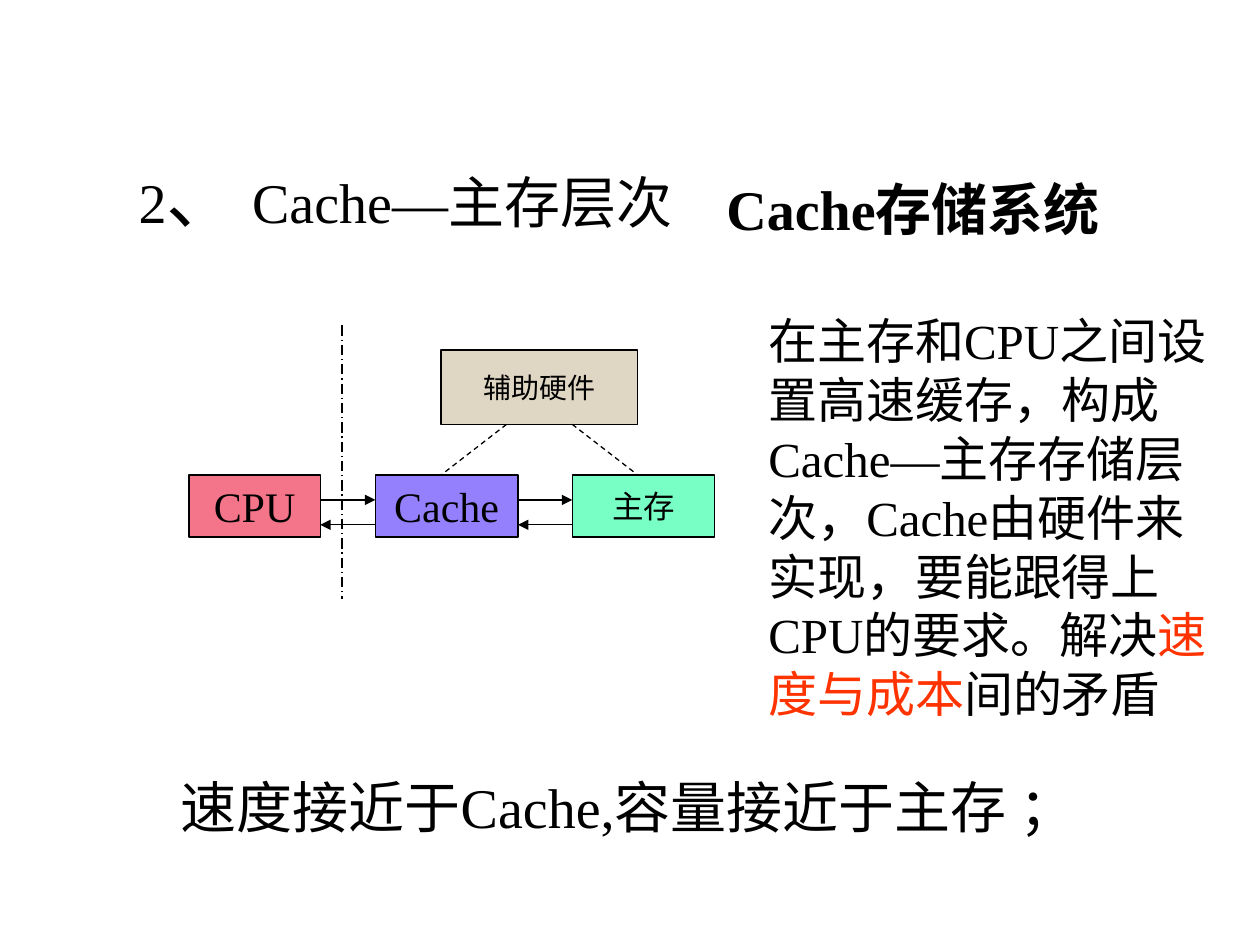
import pptx
import pptx.dml.color
import pptx.enum.dml
import pptx.enum.shapes
import pptx.enum.text
import pptx.oxml
import pptx.oxml.ns
import pptx.util

Pt = pptx.util.Pt
RGBColor = pptx.dml.color.RGBColor
Align = pptx.enum.text.PP_ALIGN
Anchor = pptx.enum.text.MSO_ANCHOR
AutoSize = pptx.enum.text.MSO_AUTO_SIZE
Dash = pptx.enum.dml.MSO_LINE

BLACK = RGBColor(0x00, 0x00, 0x00)
ORANGE_RED = RGBColor(0xFF, 0x33, 0x00)
VIOLET = RGBColor(0x94, 0x7F, 0xFD)
ROSE = RGBColor(0xF4, 0x74, 0x89)
MINT = RGBColor(0x77, 0xFF, 0xC5)
SAND = RGBColor(0xDF, 0xD6, 0xC3)


class SlideBuilder:
    font_name = "Times New Roman"
    line_width = Pt(0.75)

    def __init__(self, page):
        self.page = page

    def style(self, font, size, color=BLACK, bold=False):
        font.name = self.font_name
        font.size = Pt(size)
        font.bold = bold
        font.color.rgb = color

    def title(self, left, top, width, height, pieces):
        """Fill the title from (text, size) pairs."""
        box = self.page.shapes.title
        box.left, box.top, box.width, box.height = map(Pt, (left, top, width, height))
        frame = box.text_frame
        frame.auto_size = AutoSize.NONE
        frame.vertical_anchor = Anchor.TOP
        para = frame.paragraphs[0]
        para.alignment = Align.JUSTIFY
        for text, size in pieces:
            span = para.add_run()
            span.text = text
            self.style(span.font, size)

    def text(self, left, top, width, height, pieces, size, bold=False):
        """Add a text box from (text, colour) pairs."""
        box = self.page.shapes.add_textbox(*map(Pt, (left, top, width, height)))
        frame = box.text_frame
        frame.word_wrap = True
        frame.auto_size = AutoSize.SHAPE_TO_FIT_TEXT
        para = frame.paragraphs[0]
        self.style(para.font, size, bold=bold)
        for text, color in pieces:
            span = para.add_run()
            span.text = text
            if color != BLACK:
                span.font.color.rgb = color

    def block(self, left, top, width, height, label, size, fill):
        box = self.page.shapes.add_shape(
            pptx.enum.shapes.MSO_SHAPE.RECTANGLE, *map(Pt, (left, top, width, height)))
        box.shadow.inherit = False
        box.fill.solid()
        box.fill.fore_color.rgb = fill
        box.line.color.rgb = BLACK
        box.line.width = self.line_width
        frame = box.text_frame
        frame.word_wrap = False
        frame.vertical_anchor = Anchor.MIDDLE
        para = frame.paragraphs[0]
        para.alignment = Align.CENTER
        self.style(para.font, size)
        para.add_run().text = label

    def line(self, start_x, start_y, end_x, end_y, dash=None, arrow=False):
        connector = self.page.shapes.add_connector(
            pptx.enum.shapes.MSO_CONNECTOR.STRAIGHT,
            *map(Pt, (start_x, start_y, end_x, end_y)))
        connector.line.color.rgb = BLACK
        connector.line.width = self.line_width
        if dash is not None:
            connector.line.dash_style = dash
        properties = connector._element.spPr
        if arrow:
            tail = pptx.oxml.parse_xml(
                f'<a:tailEnd {pptx.oxml.ns.nsdecls("a")} type="triangle"/>')
            connector.line._get_or_add_ln().append(tail)
        properties.append(pptx.oxml.parse_xml(
            f'<a:effectLst {pptx.oxml.ns.nsdecls("a")}/>'))


def main():
    deck = pptx.Presentation()
    deck.slide_width, deck.slide_height = Pt(720), Pt(540)
    builder = SlideBuilder(deck.slides.add_slide(deck.slide_layouts[5]))

    builder.title(72, 84, 612, 78,
                  [("2", 32), ("、 ", 40), ("Cache—主存层次", 32)])
    builder.text(408, 96, 252, 45, [("Cache存储系统", BLACK)], 32, bold=True)
    builder.text(96, 438, 526, 45,
                 [("速度接近于Cache,容量接近于主存 ；", BLACK)], 32)

    row_top, row_height = 271.5, 35.5
    row = [
        (108, 75, "CPU", 24, ROSE),
        (214.5, 81.5, "Cache", 24, VIOLET),
        (327, 81.5, "主存", 18, MINT),
    ]
    for left, width, label, size, fill in row:
        builder.block(left, row_top, width, row_height, label, size, fill)

    hardware_left, hardware_top, hardware_width, hardware_height = 252, 200, 112.5, 42.5
    builder.block(hardware_left, hardware_top, hardware_width, hardware_height,
                  "辅助硬件", 16, SAND)
    hardware_bottom = hardware_top + hardware_height
    third = hardware_width / 3
    for start, end in ((third, 0), (2 * third, hardware_width)):
        builder.line(hardware_left + start, hardware_bottom,
                     hardware_left + end, row_top, Dash.DASH)
    builder.line(195.5, 186, 195.5, 342, Dash.LONG_DASH_DOT)

    # Each neighbouring pair exchanges data both ways.
    for (left, width, *_), (next_left, *_) in zip(row, row[1:]):
        right = left + width
        builder.line(right, row_top + 0.4 * row_height,
                     next_left, row_top + 0.4 * row_height, arrow=True)
        builder.line(next_left, row_top + 0.8 * row_height,
                     right, row_top + 0.8 * row_height, arrow=True)

    builder.text(432, 174, 270, 243, [
        ("在主存和CPU之间设置高速缓存，构成Cache—主存存储层次，"
         "Cache由硬件来实现，要能跟得上CPU的要求。解决", BLACK),
        ("速度与成本", ORANGE_RED),
        ("间的矛盾", BLACK),
    ], 28)

    deck.save("out.pptx")


if __name__ == "__main__":
    main()
